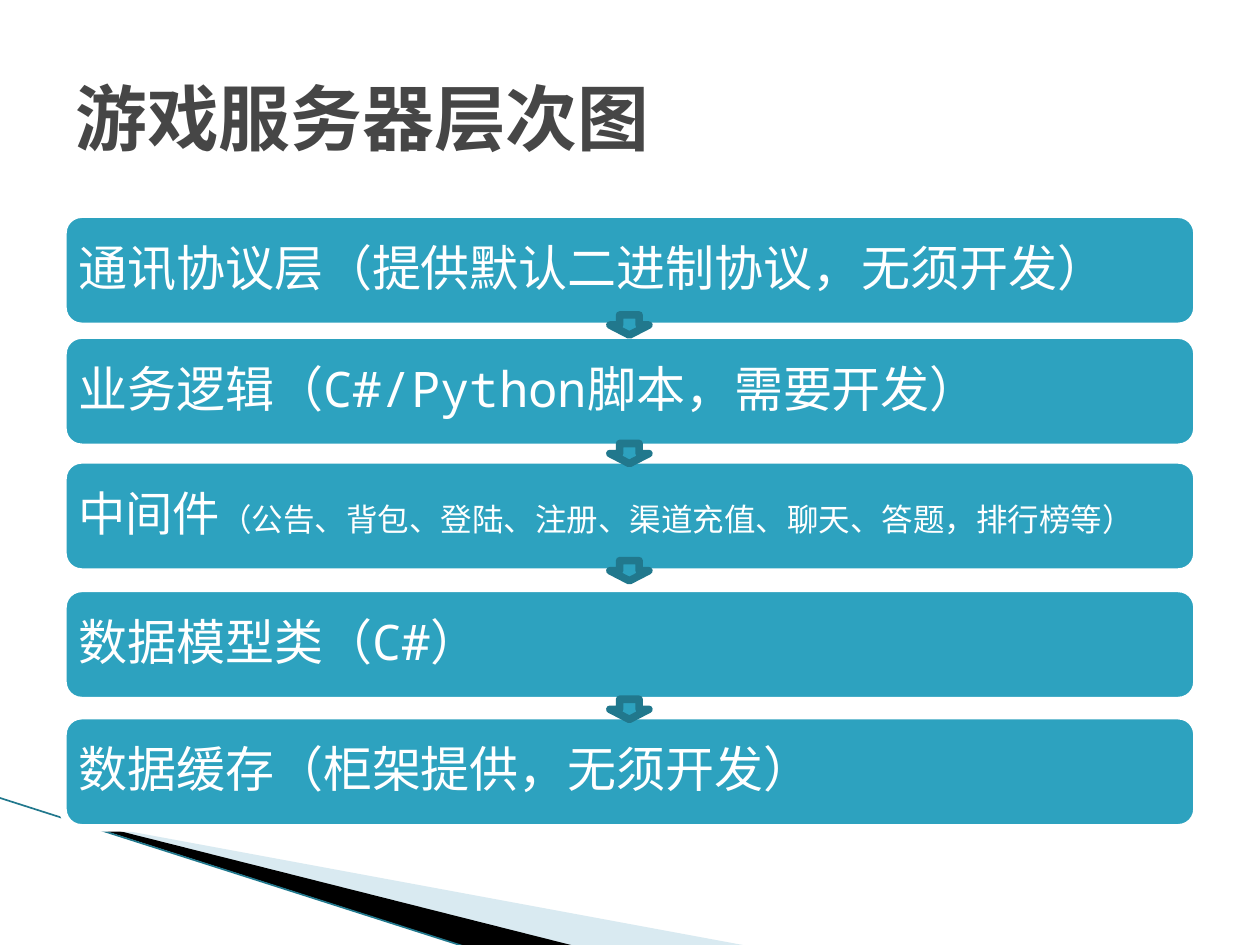
"""Build the game server layer slide."""
from lxml import etree
from pptx import Presentation
from pptx.dml.color import RGBColor
from pptx.enum.shapes import MSO_CONNECTOR, MSO_SHAPE
from pptx.enum.text import MSO_ANCHOR, PP_ALIGN
from pptx.oxml.ns import qn
from pptx.util import Inches, Pt

ROUND = MSO_SHAPE.ROUNDED_RECTANGLE
ARROW = MSO_SHAPE.DOWN_ARROW
LINE = MSO_CONNECTOR.STRAIGHT
MIDDLE = MSO_ANCHOR.MIDDLE
LEFT = PP_ALIGN.LEFT
WHITE = RGBColor(0xFF, 0xFF, 0xFF)
BLACK = RGBColor(0, 0, 0)
TEAL = RGBColor(0x2D, 0xA2, 0xBF)
DARK = RGBColor(0x21, 0x78, 0x8D)
PALE = RGBColor(0xA0, 0xCB, 0xDC)
GRAY = RGBColor(0x46, 0x46, 0x46)


def paint(shape, fill, edge=None):
    shape.shadow.inherit = False
    shape.fill.solid()
    shape.fill.fore_color.rgb = fill
    if edge is None:
        shape.line.fill.background()
    else:
        shape.line.color.rgb = edge
        shape.line.width = Pt(4.33)


deck = Presentation()
deck.slide_width = Inches(10)
deck.slide_height = Inches(7.5)
slide = deck.slides.add_slide(deck.slide_layouts[6])
shapes = slide.shapes

wedges = [
    (PALE, [(0.55, 6.51), (5.95, 7.51), (4.56, 7.51), (0.55, 6.5)]),
    (BLACK, [(0.53, 6.49), (4.57, 7.51), (3.72, 7.52), (0.54, 6.5)]),
]
for color, points in wedges:
    spots = [(Inches(x), Inches(y)) for x, y in points]
    pen = shapes.build_freeform(*spots[0])
    pen.add_line_segments(spots[1:])
    wedge = pen.convert_to_shape()
    paint(wedge, color)
    if color == PALE:
        tint = wedge.fill._xPr.find(".//" + qn("a:srgbClr"))
        etree.SubElement(tint, qn("a:alpha"), val="40000")

edge = shapes.add_connector(LINE, Inches(-0.01), Inches(6.33), Inches(3.71), Inches(7.52))
edge.line.color.rgb = DARK
edge.line.width = Pt(0.95)
etree.SubElement(edge._element.spPr, qn("a:effectLst"))

layers = [
    (1.7, 28, "通讯协议层（提供默认二进制协议，无须开发）", ""),
    (2.66, 28, "业务逻辑（C#/Python脚本，需要开发）", ""),
    (3.65, 27, "中间件", "（公告、背包、登陆、注册、渠道充值、聊天、答题，排行榜等）"),
    (4.67, 28, "数据模型类（C#）", ""),
    (5.68, 28, "数据缓存（柜架提供，无须开发）", ""),
]
for top, size, name, detail in layers:
    layer = shapes.add_shape(ROUND, Inches(0.5), Inches(top), Inches(9), Inches(0.89))
    paint(layer, TEAL, WHITE)
    frame = layer.text_frame
    frame.word_wrap = True
    frame.vertical_anchor = MIDDLE
    frame.margin_left = frame.margin_right = Inches(0.08)
    frame.margin_top = frame.margin_bottom = Inches(0.08)
    para = frame.paragraphs[0]
    para.alignment = LEFT
    para.line_spacing = 0.9
    para.font.name = "Noto Sans Mono"
    para.font.size = Pt(size)
    para.font.color.rgb = WHITE
    para.add_run().text = name
    if detail:
        run = para.add_run()
        run.text = detail
        run.font.size = Pt(18)

box = shapes.add_textbox(Inches(0.5), Inches(0.3), Inches(9), Inches(1.25))
frame = box.text_frame
frame.word_wrap = True
frame.vertical_anchor = MIDDLE
title = frame.paragraphs[0]
title.text = "游戏服务器层次图"
title.font.name = "Arial"
title.font.size = Pt(41)
title.font.bold = True
title.font.color.rgb = GRAY

for top in (2.5, 3.52, 4.45, 5.55):
    arrow = shapes.add_shape(ARROW, Inches(4.84), Inches(top), Inches(0.31), Inches(0.16))
    paint(arrow, TEAL, DARK)

deck.save("out.pptx")
